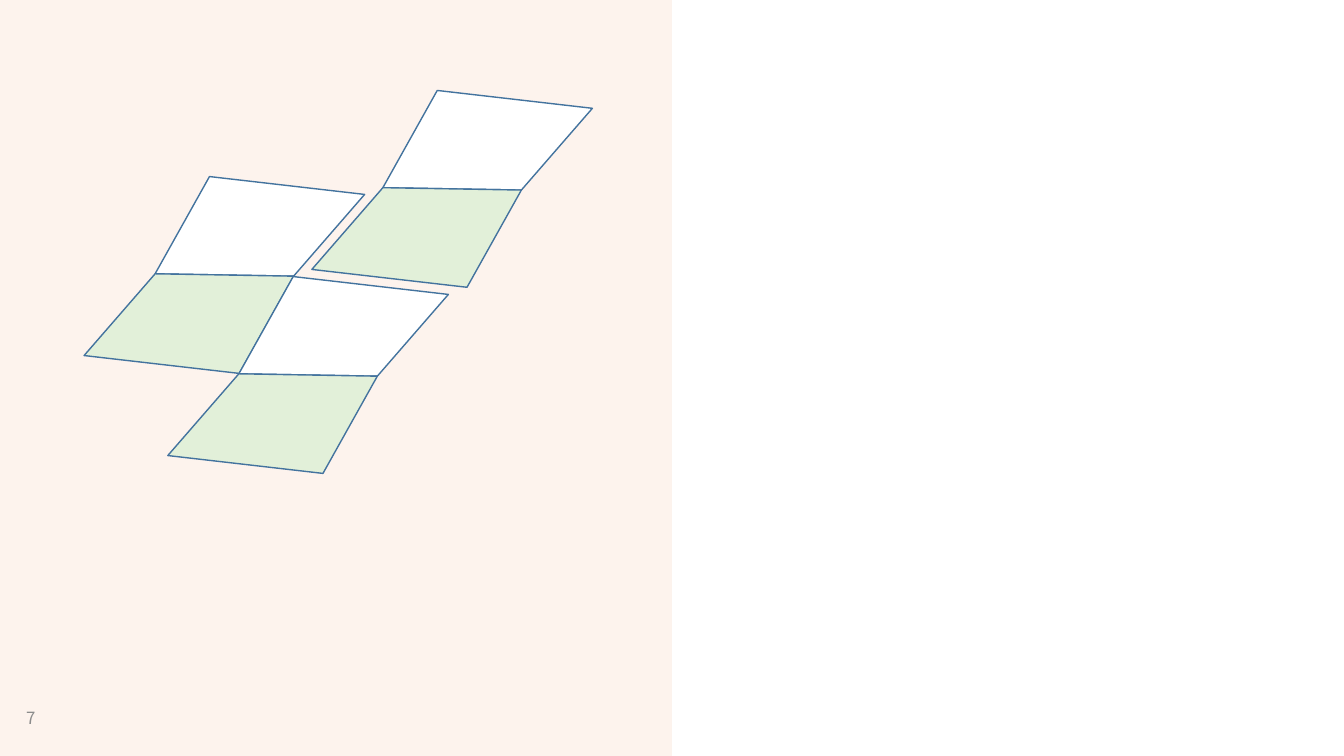
import pptx
import pptx.dml.color
import pptx.enum.shapes
import pptx.enum.text
import pptx.oxml
import pptx.util
from pptx.util import Cm, Pt

NS = 'xmlns:a="http://schemas.openxmlformats.org/drawingml/2006/main"'


def paint(color, code, alpha=None):
    """Set a colour from a hex string, with opacity in percent if given."""
    color.rgb = pptx.dml.color.RGBColor.from_string(code)
    if alpha is not None:
        xml = f'<a:alpha {NS} val="{alpha * 1000}"/>'
        color._xFill.find(".//{*}srgbClr").append(pptx.oxml.parse_xml(xml))


deck = pptx.Presentation()
deck.slide_width, deck.slide_height = Cm(33.87), Cm(19.05)
slide = deck.slides.add_slide(deck.slide_layouts[6])
shapes = slide.shapes
half = Cm(16.93)

# Tinted left half and its edge
panel = shapes.add_shape(
    pptx.enum.shapes.MSO_SHAPE.RECTANGLE, 0, 0, half, deck.slide_height)
panel.shadow.inherit = False
panel.fill.solid()
paint(panel.fill.fore_color, "F4B183", 14)
panel.line.fill.background()

edge = shapes.add_connector(
    pptx.enum.shapes.MSO_CONNECTOR.STRAIGHT, half, deck.slide_height, half, 0)
edge.line.width = Pt(0.25)
edge.line.fill.solid()
paint(edge.line.fill.fore_color, "FBE5D6", 50)
edge._element.spPr.append(pptx.oxml.parse_xml(f"<a:effectLst {NS}/>"))

# Page number
box = shapes.add_textbox(Cm(0.41), Cm(17.6), Cm(1.7), Cm(1))
frame = box.text_frame
frame.word_wrap = True
frame.vertical_anchor = pptx.enum.text.MSO_ANCHOR.MIDDLE
number = frame.paragraphs[0]
number.text = "7"
number.font.size = Pt(12)
number.font.name = "Noto Sans CJK SC"
paint(number.font.color, "8C8C8C")

# Each pair is a white tile and its half-turn below a shared side
upper = [(0, 0), (1.37, -2.45), (5.28, -2), (3.49, 0.06)]
side_x, side_y = upper[-1]
lower = [(side_x - x, side_y - y) for x, y in upper]
for left, top in [(3.91, 6.9), (6.02, 9.42), (9.65, 4.73)]:
    pair = []
    for tile, code in [(upper, "FFFFFF"), (lower, "E2F0D9")]:
        points = [(Cm(left + x), Cm(top + y)) for x, y in tile]
        builder = shapes.build_freeform(*points[0])
        builder.add_line_segments(points[1:], close=True)
        shape = builder.convert_to_shape()
        shape.shadow.inherit = False
        shape.fill.solid()
        paint(shape.fill.fore_color, code)
        shape.line.width = Pt(1)
        paint(shape.line.color, "43739E")
        pair.append(shape)
    shapes.add_group_shape(pair)

deck.save("out.pptx")
